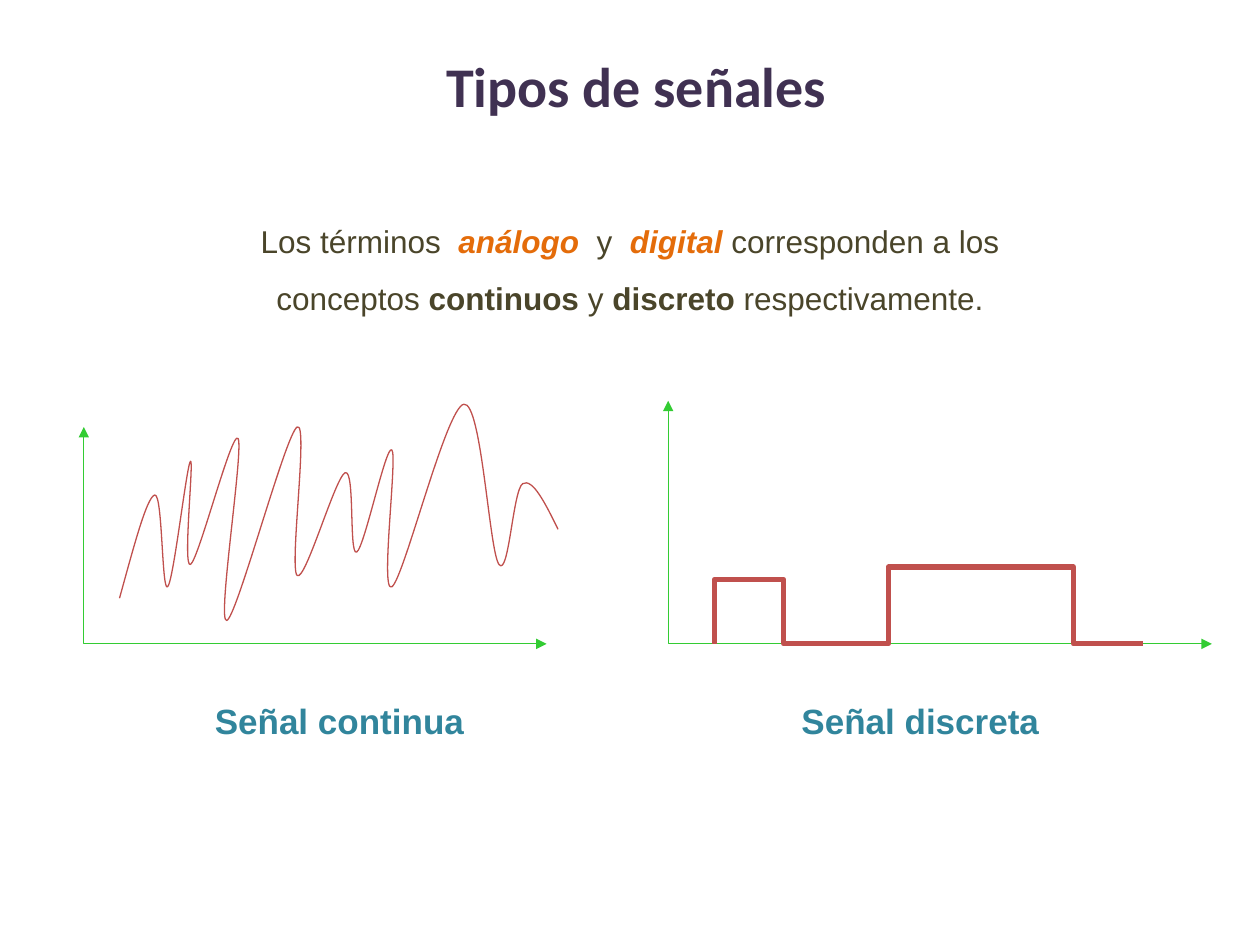
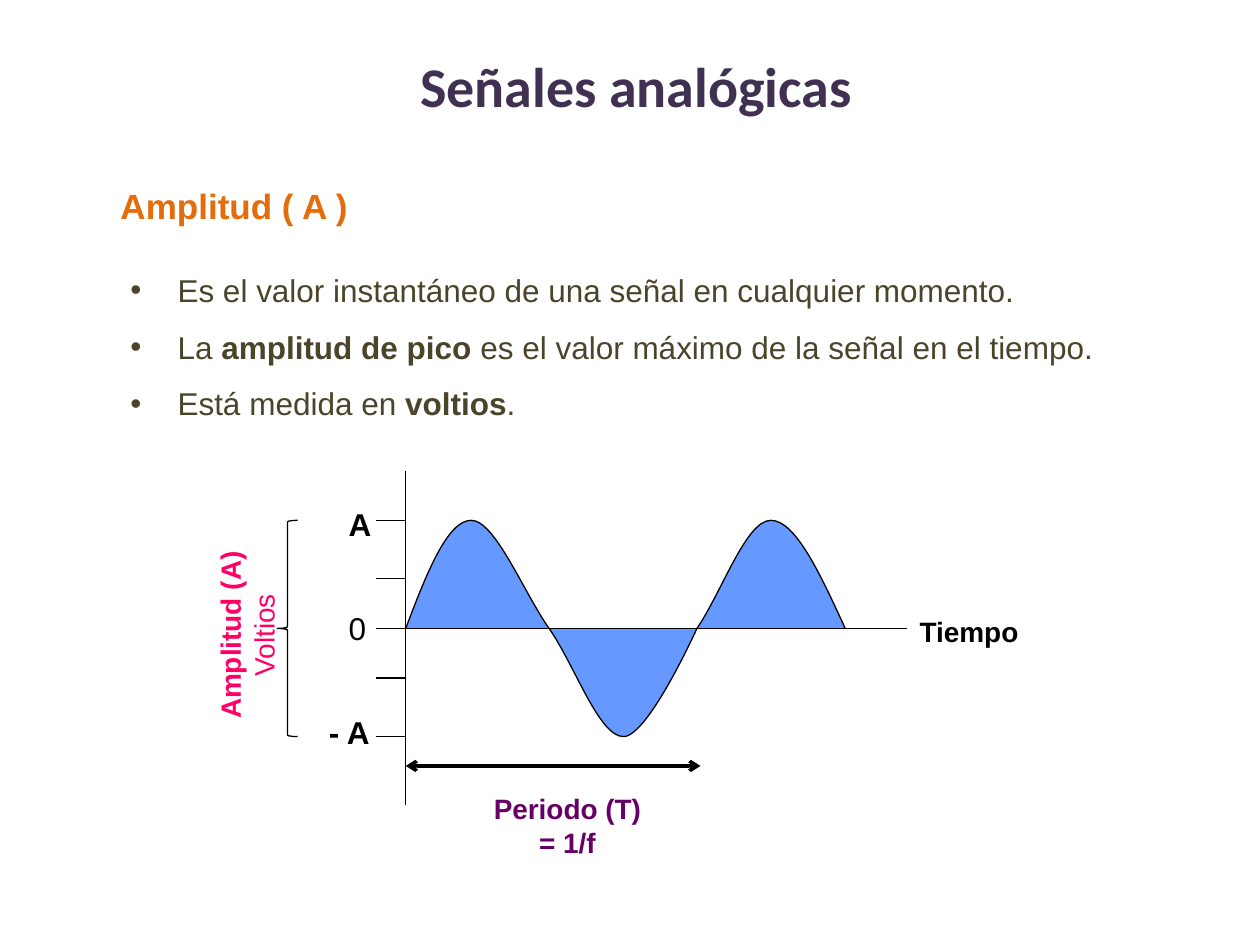
"""Builds two slides on signal types and the amplitude of analogue signals."""
from lxml import etree
from pptx import Presentation
from pptx.dml.color import RGBColor
from pptx.enum.shapes import MSO_CONNECTOR, MSO_SHAPE
from pptx.enum.text import MSO_ANCHOR, MSO_AUTO_SIZE, PP_ALIGN
from pptx.oxml.ns import qn
from pptx.util import Cm, Pt

LEFT, CENTER, JUSTIFY = PP_ALIGN.LEFT, PP_ALIGN.CENTER, PP_ALIGN.JUSTIFY
MIDDLE, TOP = MSO_ANCHOR.MIDDLE, MSO_ANCHOR.TOP
GROW, FIXED = MSO_AUTO_SIZE.SHAPE_TO_FIT_TEXT, MSO_AUTO_SIZE.NONE
STRAIGHT, BRACE = MSO_CONNECTOR.STRAIGHT, MSO_SHAPE.LEFT_BRACE

PURPLE, OLIVE, ORANGE, TEAL = "403152", "4A452A", "E46C0A", "31859C"
GREEN, RED, BLUE, BLACK, WHITE = "33CC33", "C0504D", "6699FF", "000000", "FFFFFF"
PINK, VIOLET, INDIGO = "FF0066", "660066", "3333CC"
THIN = 0.75

TERMS = [
    ("Los términos  ", OLIVE, ""), ("análogo ", ORANGE, "bi"), (" y  ", OLIVE, ""),
    ("digital ", ORANGE, "bi"), ("corresponden a los conceptos ", OLIVE, ""),
    ("continuos", OLIVE, "b"), (" y ", OLIVE, ""), ("discreto", OLIVE, "b"),
    (" respectivamente.", OLIVE, ""),
]
CAPTIONS = [("Señal continua", 3.77), ("Señal discreta", 15.48)]
BULLETS = [
    [("Es el valor instantáneo de una señal en cualquier momento.", OLIVE, "")],
    [("La ", OLIVE, ""), ("amplitud de pico", OLIVE, "b"),
     (" es el valor máximo de la señal en el tiempo.", OLIVE, "")],
    [("Está medida en ", OLIVE, ""), ("voltios", OLIVE, "b"), (".", OLIVE, "")],
]

AXIS_Y = 12.98
AXES = [(1.69, 8.61, 11.02), (13.47, 8.08, 24.43)]
CONTINUOUS = [
    (2.41, 12.06), (3.12, 9.98), (3.38, 11.83), (3.84, 9.3), (3.84, 11.38),
    (4.8, 8.84), (4.57, 12.51), (5.99, 8.61), (5.99, 11.6), (6.96, 9.53),
    (7.19, 11.13), (7.9, 9.07), (7.9, 11.83), (9.35, 8.15), (10.06, 11.38),
    (10.54, 9.75), (11.25, 10.67),
]
CONTINUOUS_HANDLES = [(2.69, 11.05), (11, 10.16)]
PULSES = [(14.4, 15.8, 11.68), (17.91, 21.64, 11.43)]
DISCRETE_END = 23.04

ORIGIN_X, ZERO_Y, PEAK = 8.18, 12.67, 2.18
CREST_Y, TROUGH_Y = ZERO_Y - PEAK, ZERO_Y + PEAK
FIRST_CYCLE = [(ORIGIN_X, ZERO_Y), (9.5, CREST_Y), (11.07, ZERO_Y),
               (12.57, TROUGH_Y), (14.05, ZERO_Y)]
NEXT_CREST = [FIRST_CYCLE[-1], (15.54, CREST_Y), (17.04, ZERO_Y)]
FIRST_HANDLES = [(8.59, 11.58), FIRST_CYCLE[-1]]
NEXT_HANDLES = [(14.55, 11.94), (16.54, 11.58)]
TICKS_Y = [CREST_Y, 11.66, 13.67, TROUGH_Y]
TICK_LEFT = 7.57
GRAPH_LABELS = [
    ("0", BLACK, "", 18, (6.78, 12.15, 0.99, 1.02), LEFT),
    ("- A", BLACK, "b", 18, (6.38, 14.25, 1.57, 1.02), LEFT),
    ("A", BLACK, "b", 18, (6.78, 10.06, 0.99, 1.02), LEFT),
    ("Tiempo", BLACK, "b", 16, (18.29, 12.27, 2.77, 0.94), LEFT),
    ("Periodo (T) = 1/f", VIOLET, "b", 16, (9.56, 15.84, 3.76, 1.63), CENTER),
]


def color(value):
    return RGBColor.from_string(value)


def add_text(page, area, paragraphs, size, align=LEFT, spacing=None,
             font="Arial", anchor=TOP, fit=GROW, bullet=False):
    box = page.shapes.add_textbox(*map(Cm, area))
    frame = box.text_frame
    frame.word_wrap = True
    frame.auto_size = fit
    frame.vertical_anchor = anchor
    for index, spans in enumerate(paragraphs):
        para = frame.add_paragraph() if index else frame.paragraphs[0]
        para.alignment = align
        para.line_spacing = spacing
        if bullet:
            properties = para._p.get_or_add_pPr()
            properties.set("marL", str(Cm(0.95)))
            properties.set("indent", str(-Cm(0.95)))
            etree.SubElement(properties, qn("a:buFont")).set("typeface", "Arial")
            etree.SubElement(properties, qn("a:buChar")).set("char", "•")
        for text, tint, style in spans:
            span = para.add_run()
            span.text = text
            span.font.name = font
            span.font.size = Pt(size)
            span.font.color.rgb = color(tint)
            span.font.bold = "b" in style
            span.font.italic = "i" in style
    return box


def add_title(page, text):
    add_text(page, (0.25, 0.13, 24.9, 3.18),
             [[(" ", INDIGO, ""), (text, PURPLE, "b")]], 32, CENTER,
             font="Calibri", anchor=MIDDLE, fit=FIXED)


def set_outline(shape, tint, width, arrow=None):
    shape.line.color.rgb = color(tint)
    shape.line.width = Pt(width)
    if arrow:
        outline = shape.line._get_or_add_ln()
        for end in ("a:headEnd", "a:tailEnd"):
            etree.SubElement(outline, qn(end)).set("type", arrow)


def set_fill(shape, tint):
    shape.shadow.inherit = False
    if tint:
        shape.fill.solid()
        shape.fill.fore_color.rgb = color(tint)
    else:
        shape.fill.background()


def add_path(page, points, tint, width, fill=None, arrow=None):
    corners = [(Cm(x), Cm(y)) for x, y in points]
    builder = page.shapes.build_freeform(*corners[0])
    builder.add_line_segments(corners[1:], close=False)
    shape = builder.convert_to_shape()
    set_fill(shape, fill)
    set_outline(shape, tint, width, arrow)
    return shape


def add_curve(page, points, tint, width, fill=None):
    shape = add_path(page, points, tint, width, fill)
    segments = list(shape._element.iter(qn("a:lnTo")))
    for first, second, third in zip(segments[::3], segments[1::3], segments[2::3]):
        first.tag = qn("a:cubicBezTo")
        for segment in (second, third):
            first.append(segment[0])
            segment.getparent().remove(segment)


def add_line(page, start, end, width=THIN, arrow=None):
    line = page.shapes.add_connector(STRAIGHT, *map(Cm, start + end))
    set_outline(line, BLACK, width, arrow)
    etree.SubElement(line._element.spPr, qn("a:effectLst"))


def smooth_curve(knots, handles):
    points = [knots[0], handles[0]]
    for before, knot, after in zip(knots, knots[1:], knots[2:]):
        reach = [(b - a) / 6 for a, b in zip(before, after)]
        points += [tuple(k - r for k, r in zip(knot, reach)), knot,
                   tuple(k + r for k, r in zip(knot, reach))]
    return points + [handles[1], knots[-1]]


def build_signal_types(page):
    add_text(page, (3.77, 3.97, 17.86, 2.57), [TERMS], 18, CENTER, 1.5)
    for left, top, right in AXES:
        add_path(page, [(left, top), (left, AXIS_Y), (right, AXIS_Y)],
                 GREEN, THIN, arrow="triangle")
    add_curve(page, smooth_curve(CONTINUOUS, CONTINUOUS_HANDLES), RED, THIN)
    steps = []
    for left, right, top in PULSES:
        steps += [(left, AXIS_Y), (left, top), (right, top), (right, AXIS_Y)]
    add_path(page, steps + [(DISCRETE_END, AXIS_Y)], RED, 3)
    for caption, left in CAPTIONS:
        add_text(page, (left, 13.97, 6.15, 1.12), [[(caption, TEAL, "b")]], 20, CENTER)
    add_title(page, "Tipos de señales")


def build_analogue_signals(page):
    add_text(page, (2.18, 3.18, 6.76, 1.4), [[("Amplitud ( A )", ORANGE, "b")]],
             20, JUSTIFY, 1.5)
    add_text(page, (2.38, 4.96, 20.62, 3.96), BULLETS, 18, spacing=1.5,
             fit=FIXED, bullet=True)
    wave = (smooth_curve(FIRST_CYCLE, FIRST_HANDLES)
            + smooth_curve(NEXT_CREST, NEXT_HANDLES)[1:])
    add_curve(page, wave, BLACK, THIN, BLUE)
    add_line(page, (ORIGIN_X, 9.5), (ORIGIN_X, 16.23))
    for y in TICKS_Y:
        add_line(page, (TICK_LEFT, y), (ORIGIN_X, y))
    amplitude = add_text(page, (2.9, 11.99, 4.17, 1.63),
                         [[("Amplitud (A) ", PINK, "b"), ("Voltios", PINK, "")]],
                         16, CENTER)
    amplitude.rotation = 270
    brace = page.shapes.add_shape(BRACE, *map(Cm, (5.59, CREST_Y, 0.41, 2 * PEAK)))
    brace.adjustments[0] = 0.08
    set_fill(brace, WHITE)
    set_outline(brace, BLACK, THIN)
    for text, tint, style, size, area, align in GRAPH_LABELS:
        add_text(page, area, [[(text, tint, style)]], size, align)
    add_line(page, (ORIGIN_X, 15.44), (14.12, 15.44), 2, "arrow")
    add_line(page, (TICK_LEFT, ZERO_Y), (18.29, ZERO_Y))
    add_title(page, "Señales analógicas")


def main():
    deck = Presentation()
    deck.slide_width, deck.slide_height = Cm(25.4), Cm(19.05)
    for build in (build_signal_types, build_analogue_signals):
        build(deck.slides.add_slide(deck.slide_layouts[6]))
    deck.save("out.pptx")


if __name__ == "__main__":
    main()
